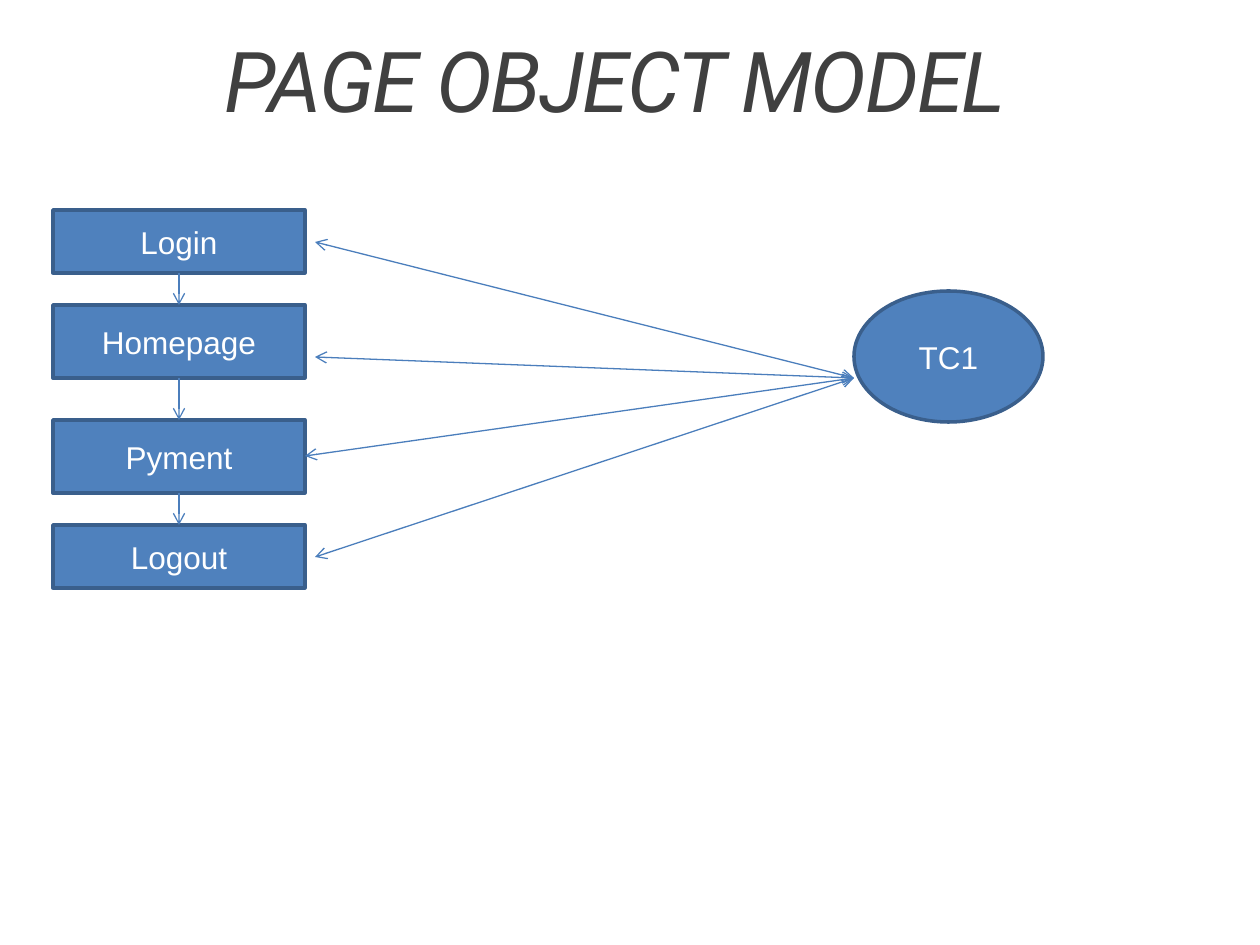
from pptx import Presentation
from pptx.dml.color import RGBColor
from pptx.enum.shapes import MSO_SHAPE as Shape, MSO_CONNECTOR as Conn
from pptx.enum.text import MSO_ANCHOR as Anchor, PP_ALIGN as Align
from pptx.util import Emu, Pt
from lxml import etree

# Content, lengths in pixels
SCALE = 914400 / 126
TITLE = "PAGE OBJECT MODEL"
LEFT, WIDTH = 53, 252
PAGES = [("Login", 210, 63), ("Homepage", 305, 73),
         ("Pyment", 420, 73), ("Logout", 525, 63)]
TEST = ("TC1", 854, 291, 189, 131)
HUB = (854, 378)
LINKS = [(315, 357), (305, 456), (315, 557), (315, 242)]
FILL, EDGE, LINK, WHITE, GREY = "4F81BD", "3A5F8C", "4B7EBC", "FFFFFF", "404040"


def px(*nums):
    return [Emu(round(n * SCALE)) for n in nums]


def paint(color, code):
    color.rgb = RGBColor.from_string(code)


def write(frame, text, font, size, code, anchor):
    frame.text = text
    frame.word_wrap = True
    frame.vertical_anchor = anchor
    para = frame.paragraphs[0]
    para.alignment = Align.CENTER
    run = para.runs[0]
    run.font.name, run.font.size = font, Pt(size)
    paint(run.font.color, code)
    return run


def node(kind, text, *box):
    shape = slide.shapes.add_shape(kind, *px(*box))
    shape.shadow.inherit = False
    shape.fill.solid()
    paint(shape.fill.fore_color, FILL)
    paint(shape.line.color, EDGE)
    shape.line.width = Pt(2)
    write(shape.text_frame, text, "Arial", 18, WHITE, Anchor.MIDDLE)


def arrow(start, end, ends):
    line = slide.shapes.add_connector(Conn.STRAIGHT, *px(*start, *end))
    paint(line.line.color, LINK)
    line.line.width = Pt(0.75)
    props = line._element.spPr
    space = "{%s}" % props.nsmap["a"]
    for name in ends:
        etree.SubElement(line.line._get_or_add_ln(), space + name, type="arrow")
    etree.SubElement(props, space + "effectLst")


deck = Presentation()
deck.slide_width, deck.slide_height = px(1260, 945)
slide = deck.slides.add_slide(deck.slide_layouts[6])

# Title
box = slide.shapes.add_textbox(*px(95, 10, 1040, 126))
run = write(box.text_frame, TITLE, "Roboto", 48, GREY, Anchor.BOTTOM)
run.font.italic = True
run._r.get_or_add_rPr().set("spc", "-100")

# Page boxes and the flow between them
for name, top, height in PAGES:
    node(Shape.RECTANGLE, name, LEFT, top, WIDTH, height)
mid = LEFT + WIDTH / 2
for (_, top, height), (_, below, _) in zip(PAGES, PAGES[1:]):
    arrow((mid, top + height), (mid, below), ["tailEnd"])

# Test case and its links to the pages
node(Shape.OVAL, *TEST)
for start in LINKS:
    arrow(start, HUB, ["headEnd", "tailEnd"])

deck.save("out.pptx")
